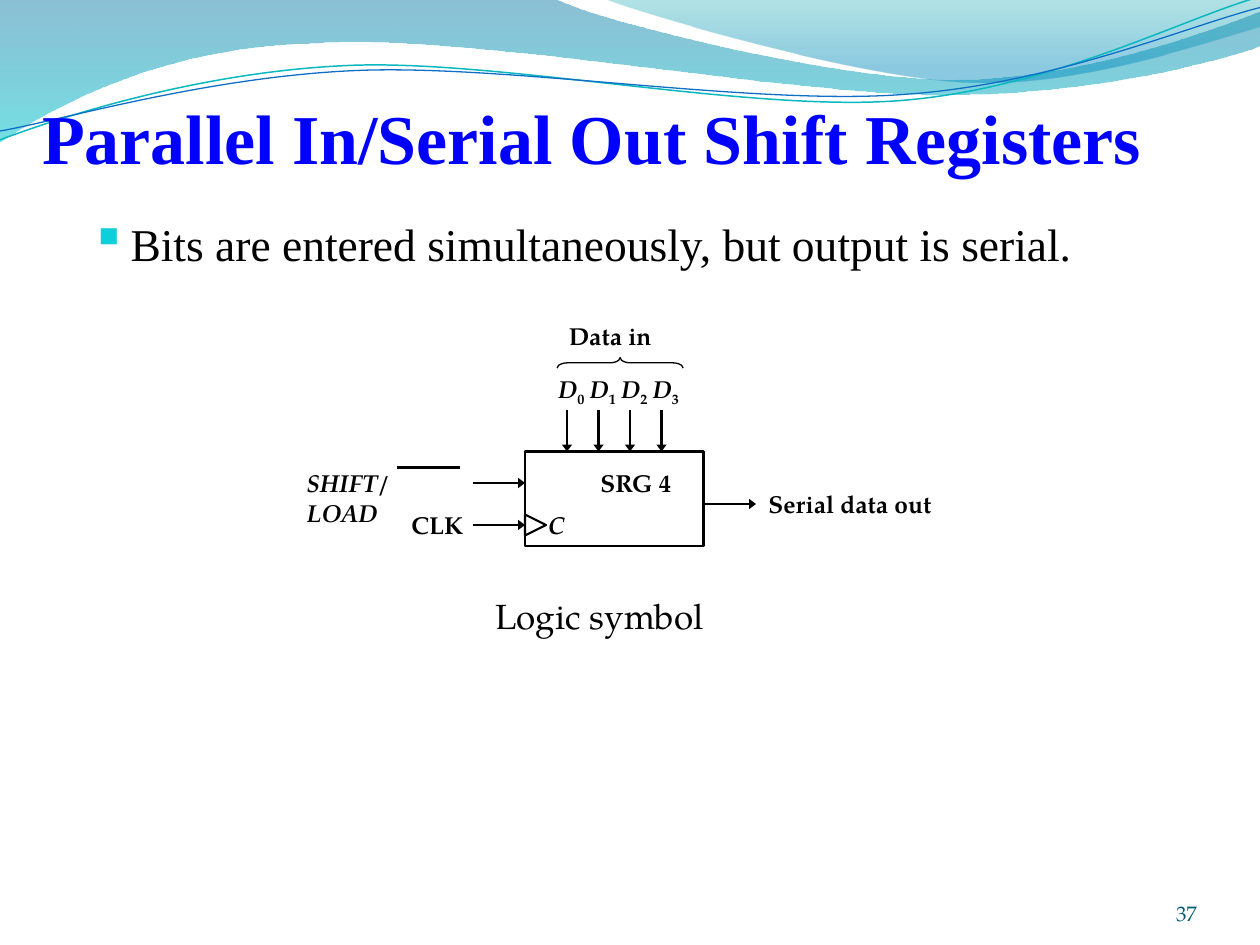
from lxml.etree import SubElement
from pptx import Presentation
from pptx.dml.color import RGBColor
from pptx.enum.shapes import MSO_CONNECTOR as CONN, MSO_SHAPE as SHAPE
from pptx.enum.text import MSO_ANCHOR as ANCHOR, MSO_AUTO_SIZE as AUTO, PP_ALIGN as ALIGN
from pptx.oxml.ns import qn
from pptx.util import Cm, Pt

SERIF, BOOK = "Times New Roman", "TeX Gyre Pagella"
TITLE = "Parallel In/Serial Out Shift Registers"
BODY = "Bits are entered simultaneously, but output is serial."
BANDS = [
    ([(0, 0), [(4.4, -0.01)], [(4.76, 0.17), (6.64, 0.63), (7.58, 0.63)],
      [(8.53, 0.63), (9.58, 0.26), (10, 0.09)], [(10.01, 0.36)],
      [(9.83, 0.44), (8.7, 0.76), (7.46, 0.75)],
      [(6.22, 0.75), (3.82, 0.28), (2.57, 0.34)],
      [(1.29, 0.36), (0.46, 0.83), (-0.01, 1.13)]],
     [(0, "0074A1", 45), (1, "00C6CF", 55)]),
    ([(4.79, -0.01), [(5.09, 0.11), (6.82, 0.62), (7.69, 0.65)],
      [(8.56, 0.69), (9.61, 0.32), (10, 0.21)], [(10, 0)]],
     [(0, "00A1A9", 30), (0.8, "008BBF", 45)]),
]
WAVES = [
    ([(0, 1.11), [(0.48, 0.93), (1.58, 0.57), (2.77, 0.52)],
      [(3.95, 0.47), (5.93, 0.89), (7.13, 0.8)],
      [(8.33, 0.71), (9.38, 0.15), (9.98, -0.02)]], "0AB8BF", 0.85),
    ([(0, 1.04), [(0.47, 0.96), (1.64, 0.61), (2.83, 0.56)],
      [(4.03, 0.51), (5.97, 0.84), (7.17, 0.75)],
      [(8.36, 0.67), (9.41, 0.21), (10, 0.06)]], "0F6FC6", 0.75),
]
OUTLINES = [
    (SHAPE.RECTANGLE, (4.17, 3.58, 1.42, 0.75), 0, 1.5, []),
    (SHAPE.ISOSCELES_TRIANGLE, (4.17, 4.08, 0.17, 0.17), 90, 1.25, [0.5]),
    (SHAPE.LEFT_BRACE, (4.88, 2.38, 0.08, 1), 90, 0.75, [1, 0.5]),
]
LABELS = [
    ((4.25, 4, 0.33, 0.33), [("C", {"italic": True})]),
    ((3.17, 4, 0.67, 0.33), [("CLK", {})]),
    ((2.33, 3.67, 1.42, 0.33),
     [("SHIFT", {"italic": True}), ("/", {}), ("LOAD", {"italic": True})]),
    ((4.67, 3.67, 0.83, 0.33), [("SRG 4", {})]),
    ((6, 3.83, 1.58, 0.33), [("Serial data out", {})]),
    ((4.42, 2.5, 1, 0.33), [("Data in", {})]),
]
ARROWS = [(3.75, 3.83, 4.17, 3.83), (3.75, 4.17, 4.17, 4.17), (5.58, 4, 6, 4)]
OVERBAR = (3.15, 3.71, 3.65, 3.71)
INPUTS, INPUT_X, INPUT_GAP = 4, 4.5, 0.25


def inches(*values):
    return [Cm(v * 2.54) for v in values]


def snapped(*values):
    grid = [round(v * 12) / 12 for v in values]
    return inches(*(g if abs(g - v) < 0.01 else v for g, v in zip(grid, values)))


def rgb(color):
    return RGBColor.from_string(color)


def write(sp, runs, size=14, font=BOOK, color="000000", bold=False, align=ALIGN.LEFT,
          anchor=ANCHOR.TOP, insets=(0.1, 0.05, 0.1, 0.05), wrap=True, auto=AUTO.NONE,
          bullet=None):
    tf = sp.text_frame
    tf.word_wrap, tf.auto_size, tf.vertical_anchor = wrap, auto, anchor
    tf.margin_left, tf.margin_top, tf.margin_right, tf.margin_bottom = inches(*insets)
    p = tf.paragraphs[0]
    p.alignment = align
    if bullet:
        pPr = p._p.get_or_add_pPr()
        indent = Cm(0.69)
        pPr.set("marL", str(indent))
        pPr.set("indent", str(-indent))
        SubElement(SubElement(pPr, qn("a:buClr")), qn("a:srgbClr"), val="0BD0D9")
        SubElement(pPr, qn("a:buSzPct"), val="120000")
        SubElement(pPr, qn("a:buFont"), typeface="Wingdings", charset="2")
        SubElement(pPr, qn("a:buChar"), char=bullet)
    for words, style in runs:
        r = p.add_run()
        r.text = words
        f = r.font
        f.name, f.size, f.bold, f.italic = font, Pt(size), bold, style.get("italic", False)
        f.color.rgb = rgb(color)
        if style.get("sub"):
            r._r.get_or_add_rPr().set("baseline", "-25000")


def text(parent, box, runs, **fmt):
    write(parent.add_textbox(*snapped(*box)), runs, **fmt)


def stroke(sp, width, color="000000"):
    sp.line.color.rgb = rgb(color)
    sp.line.width = Pt(width)


def line(parent, ends, arrow=True):
    c = parent.add_connector(CONN.STRAIGHT, *snapped(*ends))
    stroke(c, 1.25)
    if arrow:
        SubElement(c.line._get_or_add_ln(), qn("a:tailEnd"), type="triangle", w="med", len="sm")
    SubElement(c._element.spPr, qn("a:effectLst"))


def curve(parent, parts, close):
    start, *segments = parts
    knots = [start] + [segment[-1] for segment in segments]
    left, top = inches(*(min(axis) for axis in zip(*knots)))
    fb = parent.build_freeform(*inches(*start), scale=1.0)
    fb.add_line_segments([inches(*knot) for knot in knots[1:]], close=close)
    sp = fb.convert_to_shape()
    sp.shadow.inherit = False
    steps = list(sp._element.iter(qn("a:lnTo")))
    for step, segment in zip(steps, segments):
        if len(segment) == 3:
            bend = step.makeelement(qn("a:cubicBezTo"))
            for x, y in (inches(*pt) for pt in segment):
                SubElement(bend, qn("a:pt"), x=str(x - left), y=str(y - top))
            step.getparent().replace(step, bend)
    return sp


prs = Presentation()
prs.slide_width, prs.slide_height = inches(10, 7.5)
s = prs.slides.add_slide(prs.slide_layouts[5])
shapes = s.shapes

for parts, stops in BANDS:
    sp = curve(shapes, parts, True)
    sp.line.fill.background()
    sp.fill.gradient()
    sp.fill.gradient_angle = 270
    for stop, (position, color, alpha) in zip(sp.fill.gradient_stops, stops):
        stop.position = position
        stop.color.rgb = rgb(color)
        clr = stop._gs.find(qn("a:srgbClr"))
        SubElement(clr, qn("a:alpha"), val=str(alpha * 1000))
for parts, color, width in WAVES:
    sp = curve(shapes, parts, False)
    sp.fill.background()
    stroke(sp, width, color)

title = shapes.title
title.left, title.top, title.width, title.height = snapped(0.33, 0.5, 9.42, 0.92)
write(title, [(TITLE, {})], size=40, font=SERIF, color="0000FF", bold=True,
      anchor=ANCHOR.BOTTOM, insets=(0, 0.05, 0, 0))
title._element.getparent().append(title._element)

text(shapes, (0.67, 1.67, 9, 1.33), [(BODY, {})], size=26, font=SERIF,
     align=ALIGN.JUSTIFY, bullet="§")
text(shapes, (8.67, 6.95, 0.83, 0.4), [("37", {})], size=12, color="045D75",
     align=ALIGN.RIGHT, anchor=ANCHOR.BOTTOM, insets=(0, 0, 0, 0))
text(shapes, (3.83, 4.67, 2.08, 0.43), [("Logic symbol", {})], size=20,
     auto=AUTO.SHAPE_TO_FIT_TEXT)

symbol = shapes.add_group_shape().shapes
for kind, box, rotation, width, adjustments in OUTLINES:
    sp = symbol.add_shape(kind, *snapped(*box))
    sp.shadow.inherit = False
    sp.rotation = rotation
    sp.fill.background()
    stroke(sp, width)
    for i, value in enumerate(adjustments):
        sp.adjustments[i] = value
for box, runs in LABELS:
    text(symbol, box, runs, bold=True, auto=AUTO.SHAPE_TO_FIT_TEXT)
for i in range(INPUTS):
    x = INPUT_X + i * INPUT_GAP
    line(symbol, (x, 3.25, x, 3.58))
    text(symbol, (x - 0.17, 2.92, 0.41, 0.33),
         [("D", {"italic": True}), (str(i), {"sub": True})],
         bold=True, wrap=False, auto=AUTO.SHAPE_TO_FIT_TEXT)
for ends in ARROWS:
    line(symbol, ends)
line(symbol, OVERBAR, arrow=False)

prs.save("out.pptx")
